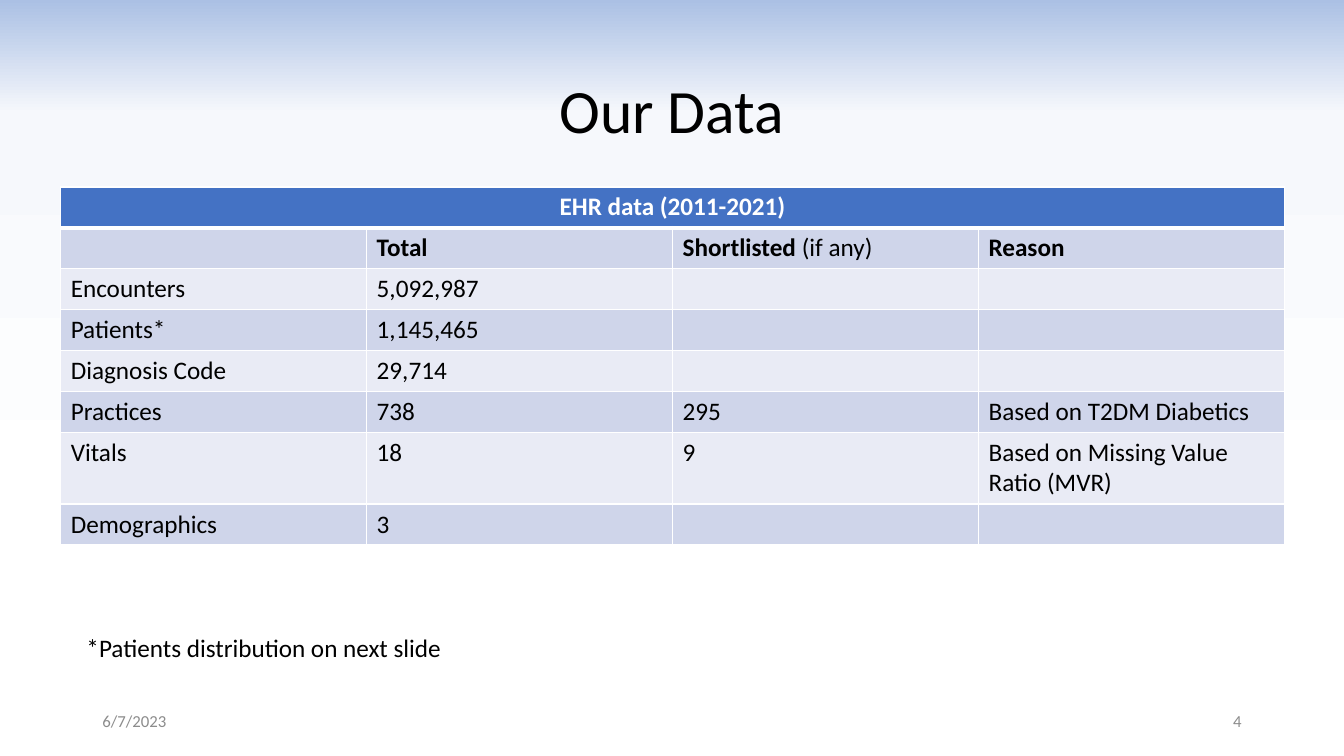
from dataclasses import dataclass

from lxml.etree import SubElement
from pptx import Presentation
from pptx.dml.color import RGBColor
from pptx.enum.text import MSO_ANCHOR, PP_ALIGN
from pptx.oxml.ns import qn
from pptx.slide import Slide
from pptx.table import _Cell
from pptx.text.text import TextFrame
from pptx.util import Cm, Pt

FONT = "Calibri"
BLACK = RGBColor(0x00, 0x00, 0x00)
WHITE = RGBColor(0xFF, 0xFF, 0xFF)
GREY = RGBColor(0x8C, 0x8C, 0x8C)
HEADER_BLUE = RGBColor(0x44, 0x72, 0xC4)
BAND_DARK = RGBColor(0xCF, 0xD5, 0xEA)
BAND_LIGHT = RGBColor(0xE9, 0xEB, 0xF5)
SKY_BLUE = RGBColor(0xAB, 0xC0, 0xE4)
PALE_BLUE = RGBColor(0xF6, 0xF8, 0xFC)

BACKGROUND_STOPS = [(0, SKY_BLUE), (15, PALE_BLUE), (69, WHITE)]
COLUMN_WIDTH = Cm(7.71)
ROW_HEIGHT = Cm(1.03)
TWO_LINE_ROW_HEIGHT = Cm(1.81)


@dataclass(frozen=True)
class Style:
    size: int = 18
    color: RGBColor = BLACK
    bold: bool = False
    align: PP_ALIGN = PP_ALIGN.LEFT


@dataclass(frozen=True)
class Note:
    text: str
    left: float
    top: float
    width: float
    style: Style
    anchor: MSO_ANCHOR = MSO_ANCHOR.TOP


@dataclass(frozen=True)
class DataRow:
    label: str
    total: str
    shortlisted: str = ""
    reason: str = ""
    height: int = ROW_HEIGHT
    bold: bool = False

    def values(self) -> list[str]:
        return [self.label, self.total, self.shortlisted, self.reason]


TABLE_TITLE = "EHR data (2011-2021)"
DATA_ROWS = [
    DataRow("", "Total", "Shortlisted", "Reason", bold=True),
    DataRow("Encounters", "5,092,987"),
    DataRow("Patients*", "1,145,465"),
    DataRow("Diagnosis Code", "29,714"),
    DataRow("Practices", "738", "295", "Based on T2DM Diabetics"),
    DataRow("Vitals", "18", "9", "Based on Missing Value Ratio (MVR)",
            height=TWO_LINE_ROW_HEIGHT),
    DataRow("Demographics", "3"),
]
NOTES = [
    Note("*Patients distribution on next slide", 1.93, 15.8, 25.96, Style()),
    Note("6/7/2023", 2.33, 17.65, 7.62, Style(12, GREY), MSO_ANCHOR.MIDDLE),
    Note("4", 23.92, 17.65, 7.62, Style(12, GREY, align=PP_ALIGN.RIGHT),
         MSO_ANCHOR.MIDDLE),
]


def write(frame: TextFrame, text: str, style: Style) -> None:
    frame.text = text
    paragraph = frame.paragraphs[0]
    paragraph.alignment = style.align
    for font in [paragraph.font, *(run.font for run in paragraph.runs)]:
        font.name = FONT
        font.size = Pt(style.size)
        font.bold = style.bold
        font.color.rgb = style.color


def paint_background(slide: Slide) -> None:
    fill = slide.background.fill
    fill.gradient()
    fill.gradient_angle = 270
    stops = slide.background._cSld.find(".//" + qn("a:gsLst"))
    stops.clear()
    for percent, color in BACKGROUND_STOPS:
        stop = SubElement(stops, qn("a:gs"), pos=str(percent * 1000))
        SubElement(stop, qn("a:srgbClr"), val=str(color))


def format_cell(cell: _Cell, color: RGBColor, top: int = 1, bottom: int = 1) -> None:
    properties = cell._tc.get_or_add_tcPr()
    for side, width in {"L": 1, "R": 1, "T": top, "B": bottom}.items():
        border = SubElement(properties, qn(f"a:ln{side}"), w=str(Pt(width)))
        border_fill = SubElement(border, qn("a:solidFill"))
        SubElement(border_fill, qn("a:srgbClr"), val=str(WHITE))
    cell.fill.solid()
    cell.fill.fore_color.rgb = color


def add_data_table(slide: Slide) -> None:
    columns = len(DATA_ROWS[0].values())
    height = ROW_HEIGHT + sum(row.height for row in DATA_ROWS)
    table = slide.shapes.add_table(
        len(DATA_ROWS) + 1, columns, Cm(1.53), Cm(4.71),
        COLUMN_WIDTH * columns, height).table
    for column in table.columns:
        column.width = COLUMN_WIDTH

    table.rows[0].height = ROW_HEIGHT
    for index in range(columns):
        format_cell(table.cell(0, index), HEADER_BLUE, bottom=3)
    heading = table.cell(0, 0)
    heading.merge(table.cell(0, columns - 1))
    write(heading.text_frame, TABLE_TITLE,
          Style(color=WHITE, bold=True, align=PP_ALIGN.CENTER))

    for number, row in enumerate(DATA_ROWS, start=1):
        table.rows[number].height = row.height
        band = BAND_DARK if number % 2 else BAND_LIGHT
        for index, value in enumerate(row.values()):
            cell = table.cell(number, index)
            format_cell(cell, band, top=3 if number == 1 else 1)
            write(cell.text_frame, value, Style(bold=row.bold))

    shortlisted_heading = table.cell(1, 2).text_frame.paragraphs[0]
    condition = shortlisted_heading.add_run()
    condition.text = " (if any)"
    condition.font.name = FONT
    condition.font.size = Pt(18)
    condition.font.bold = False
    condition.font.color.rgb = BLACK


def add_title(slide: Slide) -> None:
    title = slide.shapes.title
    title.left, title.top = Cm(2.33), Cm(1.01)
    title.width, title.height = Cm(29.21), Cm(3.68)
    title.text_frame.vertical_anchor = MSO_ANCHOR.MIDDLE
    write(title.text_frame, "Our Data", Style(44, align=PP_ALIGN.CENTER))
    title.text_frame.paragraphs[0].line_spacing = 0.9


def add_note(slide: Slide, note: Note) -> None:
    frame = slide.shapes.add_textbox(
        Cm(note.left), Cm(note.top), Cm(note.width), Cm(1.02)).text_frame
    frame.word_wrap = True
    frame.vertical_anchor = note.anchor
    write(frame, note.text, note.style)


def main() -> None:
    presentation = Presentation()
    presentation.slide_width = Cm(33.87)
    presentation.slide_height = Cm(19.05)
    slide = presentation.slides.add_slide(presentation.slide_layouts[5])
    paint_background(slide)
    add_title(slide)
    add_data_table(slide)
    for note in NOTES:
        add_note(slide, note)
    presentation.save("out.pptx")


if __name__ == "__main__":
    main()
